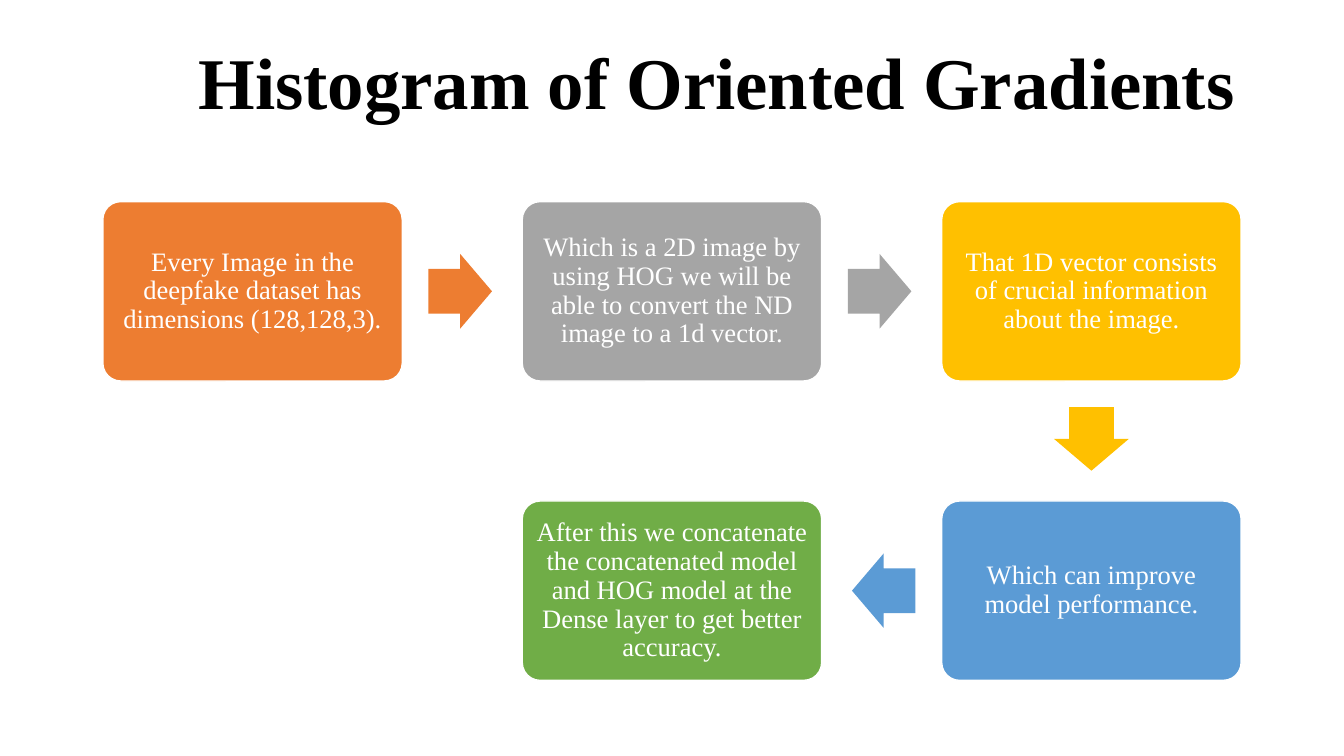
from dataclasses import dataclass

from pptx import Presentation
from pptx import util as u
from pptx.dml.color import RGBColor
from pptx.enum import shapes, text

FONT = "Times New Roman"
WHITE, BLACK = "FFFFFF", "000000"

# Grid of steps, in inches
LEFT, TOP = 1.02, 2.0
COL, ROW = 4.16, 2.97
BOX_W, BOX_H = 2.97, 1.78
ARROW_W, ARROW_H = 0.63, 0.74
ARROW_SHIFT = 0.02  # arrows sit slightly nearer the box they leave


@dataclass
class Step:
    col: int
    row: int
    color: str
    label: str


STEPS = [
    Step(0, 0, "ED7D31", "Every Image in the deepfake dataset has dimensions (128,128,3)."),
    Step(1, 0, "A5A5A5", "Which is a 2D image by using HOG we will be able to convert "
                         "the ND image to a 1d vector."),
    Step(2, 0, "FFC000", "That 1D vector consists of crucial information about the image."),
    Step(2, 1, "5B9BD5", "Which can improve model performance."),
    Step(1, 1, "70AD47", "After this we concatenate the concatenated model and HOG model "
                         "at the Dense layer to get better accuracy."),
]
ROTATION = {(1, 0): 0, (0, 1): 90, (-1, 0): 180}


def rgb(value: str) -> RGBColor:
    return RGBColor.from_string(value)


def write(sp, label: str, *, size: float, color: str, bold: bool = False,
          inset: float = 0.08) -> None:
    tf = sp.text_frame
    tf.word_wrap = True
    tf.vertical_anchor = text.MSO_ANCHOR.MIDDLE
    tf.margin_left = tf.margin_right = u.Inches(inset)
    tf.margin_top = tf.margin_bottom = u.Inches(inset)
    p = tf.paragraphs[0]
    p.alignment = text.PP_ALIGN.CENTER
    p.line_spacing = 0.9
    r = p.add_run()
    r.text = label
    r.font.name = FONT
    r.font.size = u.Pt(size)
    r.font.bold = bold
    r.font.color.rgb = rgb(color)


def add_centered(s, kind, x: float, y: float, w: float, h: float, color: str):
    sp = s.shapes.add_shape(kind, u.Inches(x - w / 2), u.Inches(y - h / 2),
                            u.Inches(w), u.Inches(h))
    sp.shadow.inherit = False
    sp.fill.solid()
    sp.fill.fore_color.rgb = rgb(color)
    return sp


def center(step: Step) -> tuple[float, float]:
    return LEFT + BOX_W / 2 + step.col * COL, TOP + BOX_H / 2 + step.row * ROW


def add_box(s, step: Step) -> None:
    sp = add_centered(s, shapes.MSO_SHAPE.ROUNDED_RECTANGLE, *center(step),
                      BOX_W, BOX_H, step.color)
    sp.adjustments[0] = 0.1
    sp.line.color.rgb = rgb(WHITE)
    sp.line.width = u.Pt(1)
    write(sp, step.label, size=19, color=WHITE)


def add_arrow(s, start: Step, end: Step) -> None:
    dx, dy = end.col - start.col, end.row - start.row
    x, y = center(start)
    sp = add_centered(s, shapes.MSO_SHAPE.RIGHT_ARROW,
                      x + dx * (COL / 2 - ARROW_SHIFT),
                      y + dy * (ROW / 2 - ARROW_SHIFT),
                      ARROW_W, ARROW_H, start.color)
    sp.adjustments[0] = 0.6
    sp.adjustments[1] = 0.5
    sp.line.fill.background()
    sp.rotation = ROTATION[dx, dy]


def main() -> None:
    prs = Presentation()
    prs.slide_width, prs.slide_height = u.Inches(13.33), u.Inches(7.5)
    s = prs.slides.add_slide(prs.slide_layouts[6])

    # Title
    title = s.shapes.add_textbox(u.Inches(1.61), u.Inches(0.3), u.Inches(11), u.Inches(1.1))
    write(title, "Histogram of Oriented Gradients", size=52, color=BLACK, bold=True)

    # Steps and the arrows between them
    for step in STEPS:
        add_box(s, step)
    for start, end in zip(STEPS, STEPS[1:]):
        add_arrow(s, start, end)

    prs.save("out.pptx")


if __name__ == "__main__":
    main()
